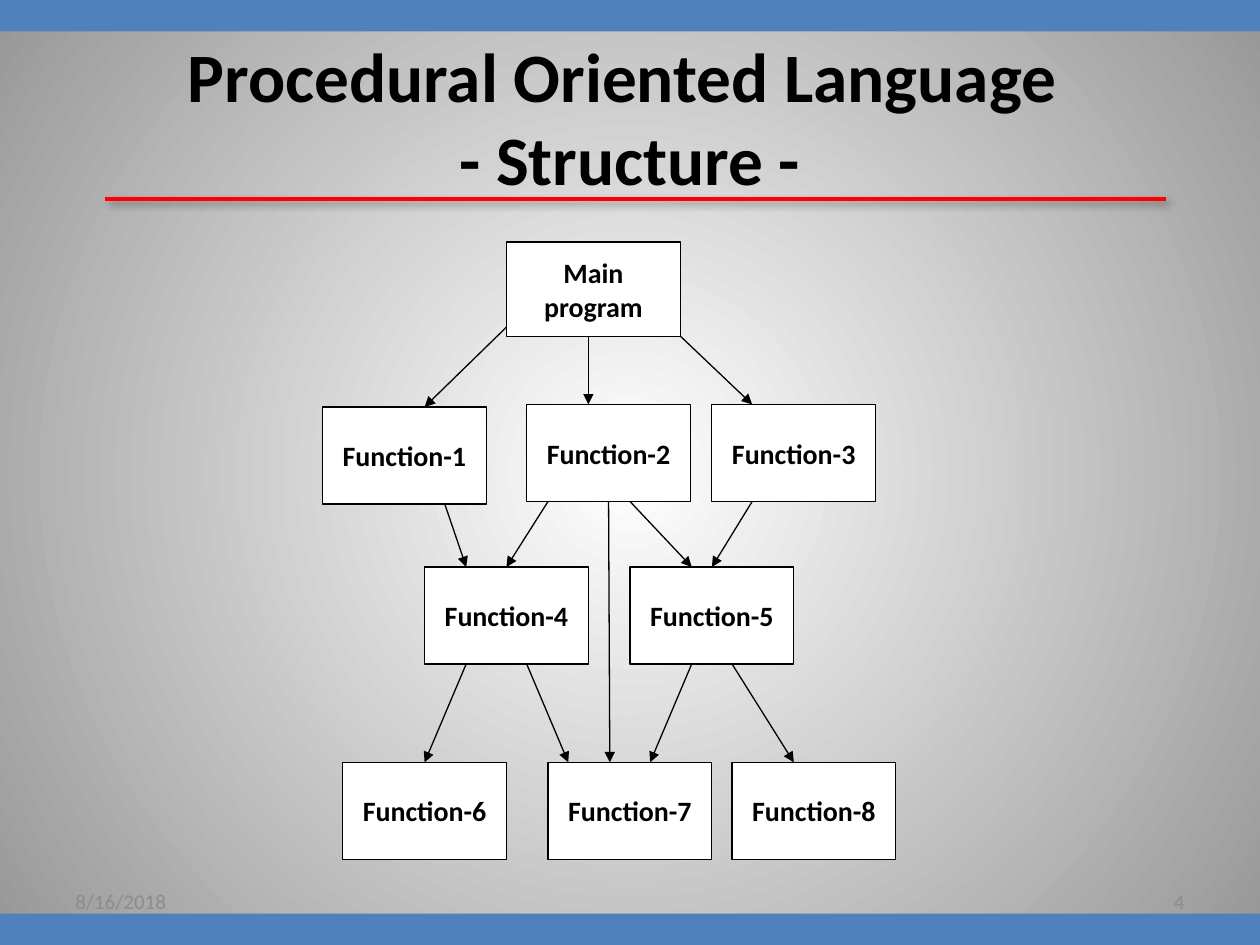
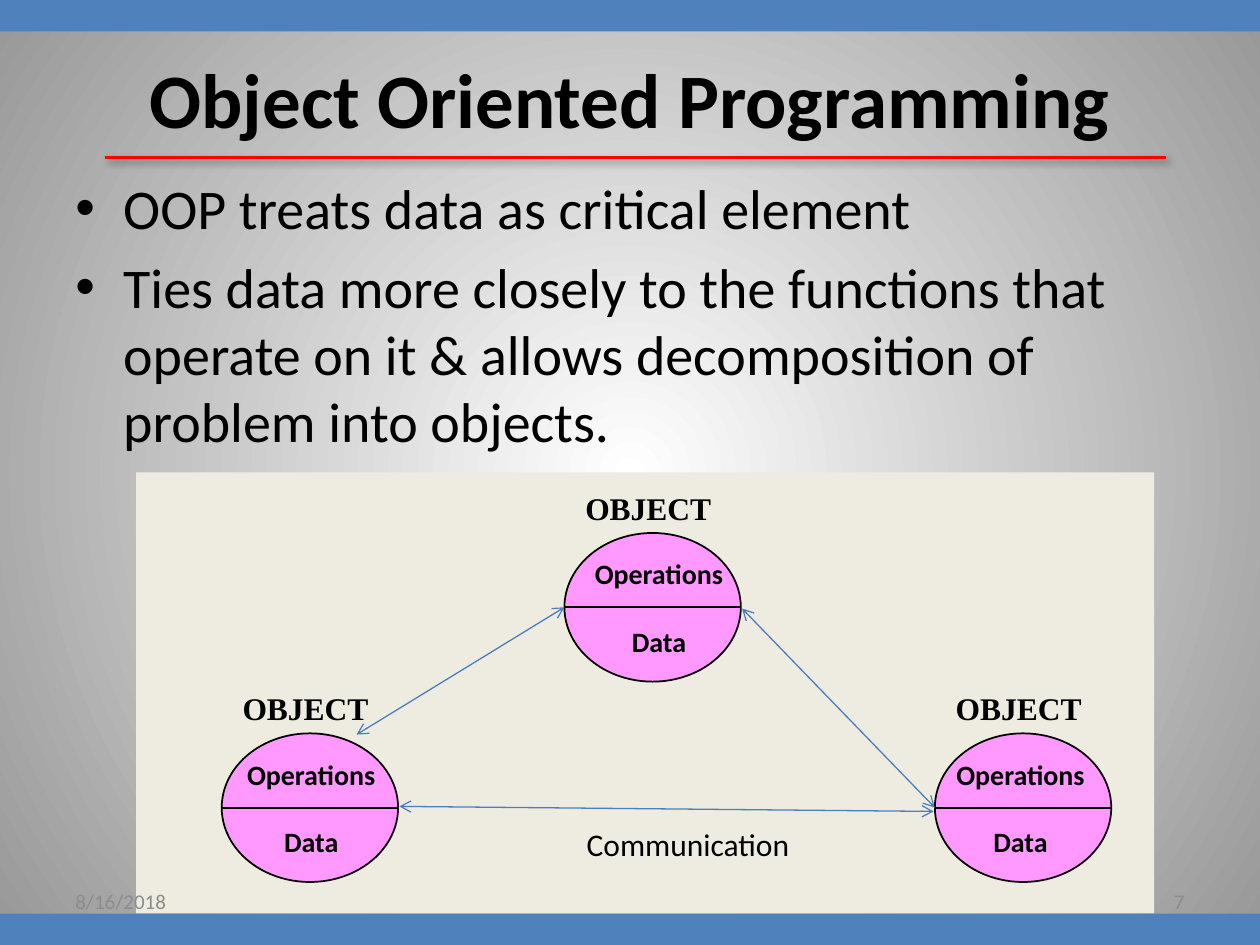
from lxml import etree
from pptx import Presentation
from pptx.dml.color import RGBColor
from pptx.enum import shapes as kinds, text as text_enum
from pptx.oxml import parse_xml
from pptx.oxml.ns import nsdecls, qn
from pptx.util import Inches, Pt

BLACK = RGBColor(0x00, 0x00, 0x00)
WHITE = RGBColor(0xFF, 0xFF, 0xFF)
RED = RGBColor(0xFF, 0x00, 0x00)
BAND_BLUE = RGBColor(0x4F, 0x81, 0xBD)
ARROW_BLUE = RGBColor(0x4B, 0x7E, 0xBC)
PANEL = RGBColor(0xEE, 0xEC, 0xE1)
PINK = RGBColor(0xFF, 0x99, 0xFF)
GREY = RGBColor(0x8C, 0x8C, 0x8C)

CENTER, LEFT, RIGHT = (text_enum.PP_ALIGN.CENTER, text_enum.PP_ALIGN.LEFT,
                       text_enum.PP_ALIGN.RIGHT)
MIDDLE, TOP = text_enum.MSO_ANCHOR.MIDDLE, text_enum.MSO_ANCHOR.TOP
RECTANGLE, OVAL = kinds.MSO_SHAPE.RECTANGLE, kinds.MSO_SHAPE.OVAL

SLIDE_WIDTH, SLIDE_HEIGHT, BAND_HEIGHT = 10, 7.5, 0.25
DATE = "8/16/2018"

BASE = {"name": "Calibri", "color": BLACK, "bold": False}
LABEL = {**BASE, "size": 16, "bold": True}
OBJECT_LABEL = {**LABEL, "size": 18, "name": "Times New Roman"}
CAPTION = {**BASE, "size": 18}
BODY = {**BASE, "size": 32}
FOOTER = {**BASE, "size": 12, "color": GREY}

# Call structure: row top, then the left edge of each function
FUNCTION_SIZE = (1.3, 0.77)
FUNCTION_ROWS = [
    [("Function-1", 2.56, 3.23), ("Function-2", 4.18, 3.21), ("Function-3", 5.65, 3.21)],
    [("Function-4", 3.37, 4.5), ("Function-5", 5, 4.5)],
    [("Function-6", 2.72, 6.05), ("Function-7", 4.35, 6.05), ("Function-8", 5.81, 6.05)],
]
MAIN_BOX = ("Main program", (4.02, 1.92, 1.38, 0.75))
MAIN_ARROW_Y = 2.44
MAIN_CALLS = [  # start x, called function, end x
    (4.18, "Function-1", 3.37), (4.67, "Function-2", 4.67), (5.16, "Function-3", 5.97),
]
CALLS = [  # caller, start x, called function, end x
    ("Function-1", 3.53, "Function-4", 3.7),
    ("Function-2", 4.35, "Function-4", 4.02),
    ("Function-2", 4.84, "Function-7", 4.84),
    ("Function-2", 5, "Function-5", 5.49),
    ("Function-3", 5.97, "Function-5", 5.65),
    ("Function-4", 3.7, "Function-6", 3.37),
    ("Function-4", 4.18, "Function-7", 4.51),
    ("Function-5", 5.49, "Function-7", 5.16),
    ("Function-5", 5.81, "Function-8", 6.3),
]

BULLETS = [
    "OOP treats data as critical element",
    "Ties data more closely to the functions that operate on it & allows "
    "decomposition of problem into objects.",
]
OBJECT_SIZE = (1.4, 1.18)
OBJECTS = [  # left, top, left of the inner label
    (7.42, 5.82, 7.48), (1.76, 5.82, 1.85), (4.48, 4.23, 4.61),
]
MESSAGES = [
    ((5.89, 4.83), (7.42, 6.41)), ((4.48, 4.82), (2.83, 5.83)), ((3.17, 6.4), (7.41, 6.44)),
]


def inches(values):
    return [Inches(value) for value in values]


def set_font(paragraph, style):
    values = {**style, "size": Pt(style["size"])}
    paragraph.font.color.rgb = values.pop("color")
    for name, value in values.items():
        setattr(paragraph.font, name, value)


def write(shape, lines, style, align=CENTER, anchor=MIDDLE, wrap=True, gap=0, bullet=False):
    """Fill a shape with one paragraph per line, gap points apart."""
    frame = shape.text_frame
    frame.word_wrap, frame.vertical_anchor = wrap, anchor
    frame.text = "\n".join(lines)
    for index, paragraph in enumerate(frame.paragraphs):
        if bullet:
            properties = paragraph._p.get_or_add_pPr()
            properties.set("marL", str(Inches(0.38)))
            properties.set("indent", str(-Inches(0.38)))
            etree.SubElement(properties, qn("a:buFont")).set("typeface", "Arial")
            etree.SubElement(properties, qn("a:buChar")).set("char", "•")
        paragraph.alignment = align
        if index:
            paragraph.space_before = Pt(gap)
        set_font(paragraph, style)


def add_text(slide, box, lines, style, **options):
    write(slide.shapes.add_textbox(*inches(box)), lines, style, **options)


def add_box(slide, kind, box, fill, line_width=0):
    shape = slide.shapes.add_shape(kind, *inches(box))
    shape.shadow.inherit = False
    shape.fill.solid()
    shape.fill.fore_color.rgb = fill
    if line_width:
        shape.line.color.rgb = BLACK
        shape.line.width = Pt(line_width)
    else:
        shape.line.fill.background()
    return shape


def add_line(slide, start, end, color=BLACK, width=0.75, head=None, tail=None):
    line = slide.shapes.add_connector(kinds.MSO_CONNECTOR.STRAIGHT, *inches(start + end))
    line.line.color.rgb = color
    line.line.width = Pt(width)
    for tag, arrow in (("a:headEnd", head), ("a:tailEnd", tail)):
        if arrow:
            etree.SubElement(line.line._ln, qn(tag)).set("type", arrow)
    etree.SubElement(line._element.spPr, qn("a:effectLst"))
    return line


def add_background(slide):
    slide.background.fill.solid()
    solid = slide.background._cSld.bg.bgPr.find(qn("a:solidFill"))
    solid.getparent().replace(solid, parse_xml(
        f'<a:gradFill {nsdecls("a")} rotWithShape="1"><a:gsLst>'
        '<a:gs pos="0"><a:srgbClr val="FFFFFF"/></a:gs>'
        '<a:gs pos="100000"><a:srgbClr val="979797"/></a:gs></a:gsLst>'
        '<a:path path="circle"><a:fillToRect l="50000" t="50000" r="50000" b="50000"/>'
        '</a:path></a:gradFill>'))


def start_slide(presentation, title, size, height):
    slide = presentation.slides.add_slide(presentation.slide_layouts[5])
    add_background(slide)
    shape = slide.shapes.title
    shape.left, shape.top, shape.width, shape.height = inches((0.5, 0.3, 9, height))
    write(shape, [title], {**BASE, "size": size, "bold": True})
    return slide


def finish_slide(slide, rule_y, number):
    """Add the shadowed rule under the title, the bands and the footer."""
    rule = add_line(slide, (0.83, rule_y), (9.25, rule_y), RED, 2)
    rule._element.spPr.find(qn("a:effectLst")).append(parse_xml(
        f'<a:outerShdw {nsdecls("a")} blurRad="{Pt(4)}" dist="{Pt(3)}" dir="2700000">'
        '<a:srgbClr val="000000"><a:alpha val="40000"/></a:srgbClr></a:outerShdw>'))
    for top in (0, SLIDE_HEIGHT - BAND_HEIGHT):
        add_box(slide, RECTANGLE, (0, top, SLIDE_WIDTH, BAND_HEIGHT), BAND_BLUE)
    for left, words, align in ((0.5, DATE, LEFT), (7.17, number, RIGHT)):
        add_text(slide, (left, 6.95, 2.33, 0.4), [words], FOOTER, align=align)


def add_call(slide, caller, start_x, called, end_x):
    """Draw an arrow between functions, joined where it meets the middle of a side."""
    start_y = (caller.top + caller.height) / Inches(1)
    arrow = add_line(slide, (start_x, start_y), (end_x, called.top / Inches(1)), tail="triangle")
    for box, x, connect, site in ((caller, start_x, arrow.begin_connect, 2),
                                  (called, end_x, arrow.end_connect, 0)):
        if abs(box.left + box.width / 2 - Inches(x)) < Inches(0.02):
            connect(box, site)


def build_structure(presentation):
    slide = start_slide(presentation, "Procedural Oriented Language \v- Structure -", 39.6, 1.25)
    functions = {}
    for row in FUNCTION_ROWS:
        for name, left, top in row:
            functions[name] = add_box(slide, RECTANGLE, (left, top, *FUNCTION_SIZE), WHITE, 0.75)
            write(functions[name], [name], LABEL)
    for start_x, called, end_x in MAIN_CALLS:
        end_y = functions[called].top / Inches(1)
        add_line(slide, (start_x, MAIN_ARROW_Y), (end_x, end_y), tail="triangle")
    for caller, start_x, called, end_x in CALLS:
        add_call(slide, functions[caller], start_x, functions[called], end_x)
    name, box = MAIN_BOX
    write(add_box(slide, RECTANGLE, box, WHITE, 0.75), [name], LABEL)
    finish_slide(slide, 1.58, "4")


def add_object(slide, left, top, label_left):
    width, height = OBJECT_SIZE
    middle = top + height / 2
    add_text(slide, (left + 0.06, top - 0.4, 1.21, 0.4), ["OBJECT"], OBJECT_LABEL,
             anchor=TOP, wrap=False)
    add_box(slide, OVAL, (left, top, width, height), PINK, 1)
    add_line(slide, (left, middle), (left + width, middle), width=1)
    add_text(slide, (label_left, top + 0.14, 1.24, 0.91), ["Operations", "Data"], LABEL,
             anchor=TOP, wrap=False, gap=19.5)


def build_objects(presentation):
    slide = start_slide(presentation, "Object Oriented Programming", 44, 0.95)
    add_text(slide, (0.5, 1.33, 9, 2.42), BULLETS, BODY, align=LEFT, anchor=TOP,
             gap=6.4, bullet=True)
    add_box(slide, RECTANGLE, (1.08, 3.75, 8.08, 3.5), PANEL)
    for left, top, label_left in OBJECTS:
        add_object(slide, left, top, label_left)
    for start, end in MESSAGES:
        add_line(slide, start, end, ARROW_BLUE, head="arrow", tail="arrow")
    add_text(slide, (4.17, 6.5, 2.58, 0.42), ["Communication"], CAPTION, anchor=TOP)
    finish_slide(slide, 1.25, "7")


def main():
    presentation = Presentation()
    presentation.slide_width, presentation.slide_height = inches((SLIDE_WIDTH, SLIDE_HEIGHT))
    build_structure(presentation)
    build_objects(presentation)
    presentation.save("out.pptx")


if __name__ == "__main__":
    main()
